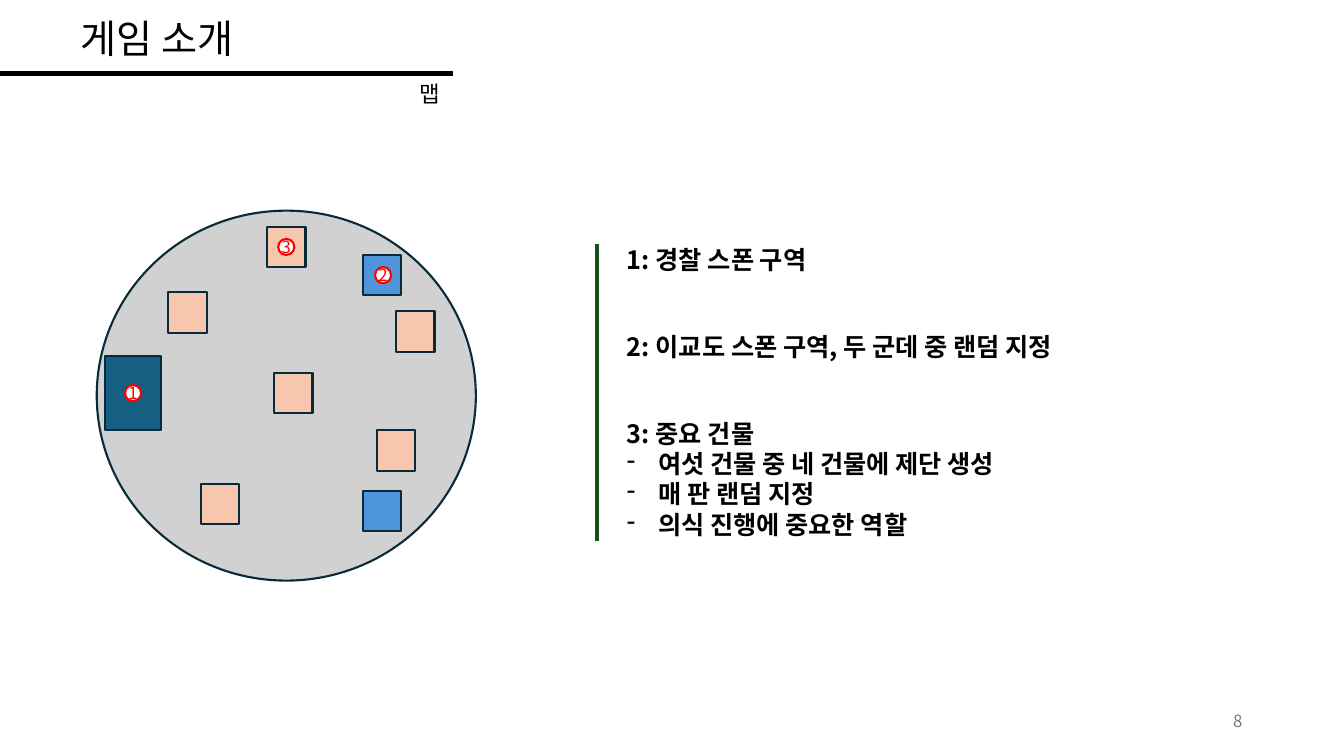
from pptx import Presentation
from pptx.dml.color import RGBColor as RGB
from pptx.enum.shapes import MSO_CONNECTOR as Conn, MSO_SHAPE as Kind
from pptx.enum.text import MSO_ANCHOR as Anchor, PP_ALIGN as Align
from pptx.oxml.ns import qn
from pptx.util import Inches, Pt
from lxml.etree import SubElement as Sub


class Theme:
    face = "Noto Sans CJK KR"
    ink, gray, green, red = "000000", "797979", "13501B", "FF0000"
    edge, ground, white = "092A39", "D1D1D1", "FFFFFF"
    police, cult, house = "156082", "4E95D9", "F6C6AD"
    title, body, label, small = 28, 18, 16, 12
    rule, thin = 3, 1.5


class Page:
    def __init__(self, deck, theme):
        self.theme = theme
        self.shapes = deck.slides.add_slide(deck.slide_layouts[6]).shapes

    def fill_text(self, frame, lines, size, color, bold=False, align=Align.LEFT, bullets=False):
        for i, line in enumerate(lines):
            para = frame.paragraphs[0] if i == 0 else frame.add_paragraph()
            para.alignment = align
            if bullets and i:
                props = para._p.get_or_add_pPr()
                indent = Inches(0.31)
                props.set("marL", str(indent))
                props.set("indent", str(-indent))
                Sub(props, qn("a:buChar"), char="-")
            run = para.add_run()
            run.text = line
            style = {"name": self.theme.face, "size": Pt(size), "bold": bold}
            for key, value in style.items():
                setattr(run.font, key, value)
            run.font.color.rgb = RGB.from_string(color)
            Sub(run._r.get_or_add_rPr(), qn("a:ea"), typeface=self.theme.face)

    def text(self, box, lines, size, color=Theme.ink, anchor=Anchor.TOP, **form):
        frame = self.shapes.add_textbox(*map(Inches, box)).text_frame
        for key, value in {"word_wrap": True, "vertical_anchor": anchor}.items():
            setattr(frame, key, value)
        self.fill_text(frame, lines, size, color, **form)

    def line(self, start, end, color):
        link = self.shapes.add_connector(Conn.STRAIGHT, *map(Inches, start + end))
        link.line.color.rgb = RGB.from_string(color)
        link.line.width = Pt(self.theme.rule)
        Sub(link._element.spPr, qn("a:effectLst"))

    def shape(self, kind, box, fill, edge):
        shape = self.shapes.add_shape(kind, *map(Inches, box))
        shape.shadow.inherit = False
        shape.fill.solid()
        shape.fill.fore_color.rgb = RGB.from_string(fill)
        shape.line.color.rgb = RGB.from_string(edge)
        shape.line.width = Pt(self.theme.thin)
        return shape

    def house(self, left, top, fill, size=(0.38, 0.4)):
        self.shape(Kind.RECTANGLE, (left, top) + size, fill, self.theme.edge)

    def mark(self, left, top, digit):
        t = self.theme
        frame = self.shape(Kind.OVAL, (left, top, 0.16, 0.16), t.white, t.red).text_frame
        sides = ("left", "right", "top", "bottom")
        form = {f"margin_{side}": 0 for side in sides}
        form |= {"word_wrap": False, "vertical_anchor": Anchor.MIDDLE}
        for key, value in form.items():
            setattr(frame, key, value)
        self.fill_text(frame, [digit], t.small, t.red, align=Align.CENTER)


def main():
    deck = Presentation()
    deck.slide_width, deck.slide_height = Inches(13.33), Inches(7.5)
    t = Theme()
    page = Page(deck, t)

    # Heading
    page.line((0, 0.73), (4.49, 0.73), t.ink)
    page.text((0.7, 0.09, 3.36, 0.57), ["게임 소개"], t.title)
    page.text((4.06, 0.75, 0.43, 0.37), ["맵"], t.label)

    # Legend
    page.line((5.92, 2.42), (5.92, 5.37), t.green)
    page.text((6.12, 2.37, 4.03, 0.4), ["1: 경찰 스폰 구역"], t.body, bold=True)
    page.text((6.12, 3.24, 5, 0.4), ["2: 이교도 스폰 구역, 두 군데 중 랜덤 지정"], t.body, bold=True)
    page.text((6.12, 4.1, 5, 1.31),
              ["3: 중요 건물", "여섯 건물 중 네 건물에 제단 생성", "매 판 랜덤 지정", "의식 진행에 중요한 역할"],
              t.body, bold=True, bullets=True)

    # Map ground and buildings
    page.shape(Kind.OVAL, (0.96, 2.09, 3.76, 3.67), t.ground, t.edge)
    page.house(1.04, 3.53, t.police, (0.56, 0.74))
    for left, top in ((2.65, 2.25), (3.74, 4.27), (1.99, 4.8),
                      (3.93, 3.09), (1.67, 2.9), (2.72, 3.7)):
        page.house(left, top, t.house)
    for top in (2.53, 4.87):
        page.house(3.6, top, t.cult)

    # Numbered marks
    for left, top, digit in ((1.24, 3.82, "1"), (3.72, 2.65, "2"), (2.76, 2.37, "3")):
        page.mark(left, top, digit)

    # Page number
    page.text((9.42, 6.95, 3, 0.4), ["8"], t.small, t.gray, Anchor.MIDDLE, align=Align.RIGHT)

    deck.save("out.pptx")


if __name__ == "__main__":
    main()
